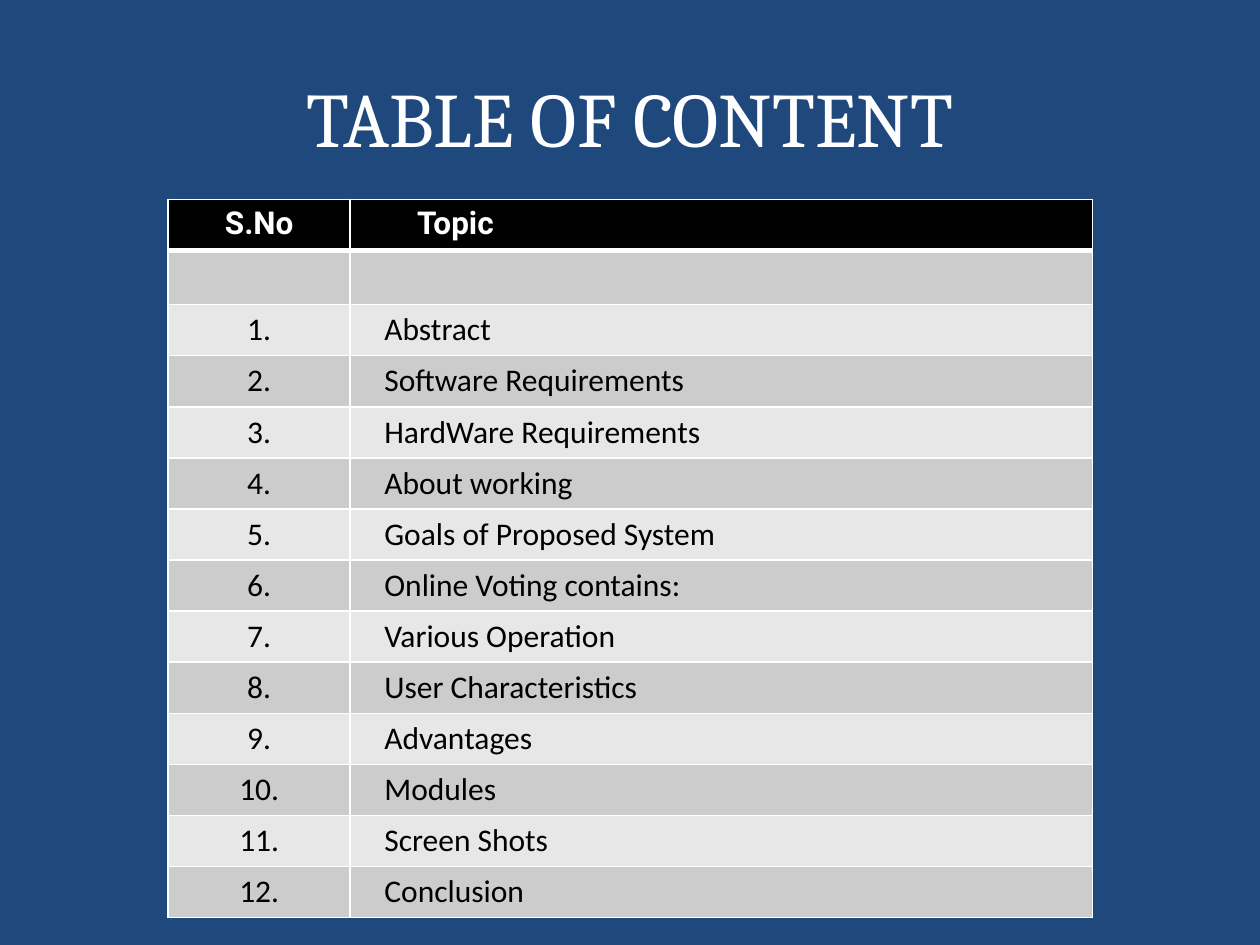
from pptx import Presentation
from pptx.dml.color import RGBColor
from pptx.enum.text import MSO_ANCHOR as Anchor, PP_ALIGN as Align
from pptx.oxml import parse_xml
from pptx.oxml.ns import nsdecls
from pptx.util import Cm, Pt


def color(value):
    return RGBColor.from_string(value)


def write(para, text, align, **font_format):
    para.alignment = align
    span = para.add_run()
    span.text = text
    span.font.color.rgb = color(font_format.pop("ink"))
    for name, value in font_format.items():
        setattr(span.font, name, value)


TOPICS = [
    "Abstract", "Software Requirements", "HardWare Requirements",
    "About working", "Goals of Proposed System", "Online Voting contains:",
    "Various Operation", "User Characteristics", "Advantages", "Modules",
    "Screen Shots", "Conclusion",
]
HEADER_FONT = {"name": "Roboto", "size": Pt(18), "bold": True, "ink": "FFFFFF"}
BODY_FONT = {"name": "Calibri", "size": Pt(18), "bold": False, "ink": "000000"}

deck = Presentation()
deck.slide_width, deck.slide_height = Cm(25.4), Cm(19.05)
page = deck.slides.add_slide(deck.slide_layouts[5])
page.background.fill.solid()
page.background.fill.fore_color.rgb = color("1F497D")

# Title
title = page.shapes.title
place = {"left": Cm(1.27), "top": Cm(0.76), "width": Cm(22.86), "height": Cm(3.18)}
for name, value in place.items():
    setattr(title, name, value)
title.text_frame.vertical_anchor = Anchor.MIDDLE
write(title.text_frame.paragraphs[0], "TABLE OF CONTENT", Align.CENTER,
      name="Cambria", size=Pt(44), ink="FFFFFF")

# Contents table: header, an empty row, then the numbered topics
rows = [("S.No", "Topic"), ("", "")]
rows += [(f"{number}.", topic) for number, topic in enumerate(TOPICS, 1)]
table = page.shapes.add_table(len(rows), 2, Cm(3.39), Cm(4.02),
                              Cm(18.63), Cm(14.48)).table
table.columns[0].width, table.columns[1].width = Cm(3.67), Cm(14.96)

for r, texts in enumerate(rows):
    is_header = r == 0
    table.rows[r].height = Cm(1.09 if r == 1 else 1.03)
    for c, text in enumerate(texts):
        cell = table.cell(r, c)
        cell.fill.solid()
        fill = "000000" if is_header else ("CCCCCC" if r % 2 else "E7E7E7")
        cell.fill.fore_color.rgb = color(fill)
        if c == 1:
            cell.margin_left = Cm(1.35 if is_header else 0.69)
        if text:
            write(cell.text_frame.paragraphs[0], text,
                  Align.LEFT if c else Align.CENTER,
                  **(HEADER_FONT if is_header else BODY_FONT))

        # White borders, thicker between header and body
        thick = {"B": is_header, "T": r == 1}
        for position, side in enumerate("LRTB"):
            width = Pt(3 if thick.get(side) else 1)
            line = parse_xml(
                f'<a:ln{side} {nsdecls("a")} w="{width}"><a:solidFill>'
                f'<a:srgbClr val="FFFFFF"/></a:solidFill></a:ln{side}>')
            cell._tc.get_or_add_tcPr().insert(position, line)

deck.save("out.pptx")
